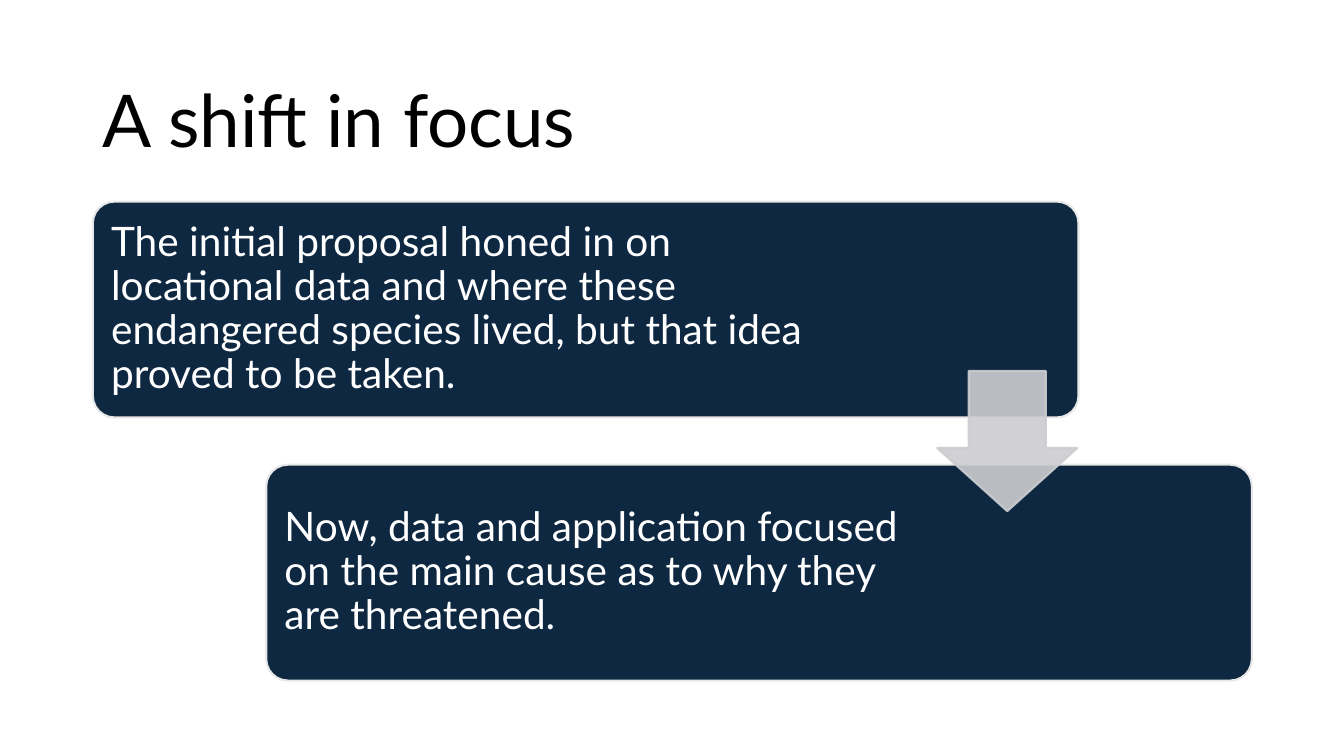
from dataclasses import dataclass

from lxml.etree import SubElement
from pptx import Presentation
from pptx.dml.color import RGBColor
from pptx.enum.shapes import MSO_SHAPE
from pptx.enum.text import MSO_ANCHOR, MSO_AUTO_SIZE, PP_ALIGN
from pptx.oxml.ns import qn
from pptx.shapes.autoshape import Shape
from pptx.slide import Slide
from pptx.text.text import TextFrame
from pptx.util import Cm, Pt

BLACK = RGBColor(0x00, 0x00, 0x00)
WHITE = RGBColor(0xFF, 0xFF, 0xFF)
NAVY = RGBColor(0x0E, 0x28, 0x41)
PALE_GRAY = RGBColor(0xE8, 0xE8, 0xE8)
ARROW_GRAY = RGBColor(0xCC, 0xCD, 0xCF)

FONT_NAME = "Lato"
ARROW_OPACITY = 90
CARD_WIDTH, CARD_HEIGHT = 24.84, 5.44
TEXT_OFFSET = 0.16
TEXT_FRAME_FORMAT = {
    "word_wrap": True,
    "auto_size": MSO_AUTO_SIZE.NONE,
    "vertical_anchor": MSO_ANCHOR.MIDDLE,
}
CARD_MARGINS = {
    f"margin_{side}": Cm(0.3) for side in ("left", "top", "right", "bottom")
}


@dataclass(frozen=True)
class Card:
    """A step of the process; lengths in centimetres."""
    left: float
    top: float
    text_width: float
    text: str


CARDS = (
    Card(2.34, 5.08, 19.2,
         "The initial proposal honed in on locational data and where these "
         "endangered species lived, but that idea proved to be taken."),
    Card(6.71, 11.71, 16.59,
         "Now, data and application focused on the main cause as to why they "
         "are threatened."),
)


def apply_format(target: object, values: dict) -> None:
    for name, value in values.items():
        setattr(target, name, value)


def write_text(frame: TextFrame, text: str, size: float, color: RGBColor) -> None:
    apply_format(frame, TEXT_FRAME_FORMAT)
    paragraph = frame.paragraphs[0]
    apply_format(paragraph, {"alignment": PP_ALIGN.LEFT, "line_spacing": 0.9})
    run = paragraph.add_run()
    run.text = text
    apply_format(run.font, {"name": FONT_NAME, "size": Pt(size)})
    run.font.color.rgb = color


def add_filled_shape(slide: Slide, kind: MSO_SHAPE, box: tuple[float, ...],
                     adjustments: tuple[float, ...], fill: RGBColor,
                     line: RGBColor) -> Shape:
    shape = slide.shapes.add_shape(kind, *(Cm(length) for length in box))
    for index, value in enumerate(adjustments):
        shape.adjustments[index] = value
    shape.shadow.inherit = False
    shape.fill.solid()
    shape.fill.fore_color.rgb = fill
    shape.line.color.rgb = line
    shape.line.width = Pt(1.5)
    return shape


def set_opacity(shape: Shape, percent: int) -> None:
    """Apply one opacity to the fill and the outline."""
    for color in shape._element.spPr.iter(qn("a:srgbClr")):
        SubElement(color, qn("a:alpha")).set("val", str(percent * 1000))


def add_card(slide: Slide, card: Card) -> None:
    add_filled_shape(slide, MSO_SHAPE.ROUNDED_RECTANGLE,
                     (card.left, card.top, CARD_WIDTH, CARD_HEIGHT),
                     (0.1,), NAVY, PALE_GRAY)
    text_box = slide.shapes.add_textbox(
        Cm(card.left + TEXT_OFFSET), Cm(card.top + TEXT_OFFSET),
        Cm(card.text_width), Cm(CARD_HEIGHT - 2 * TEXT_OFFSET))
    apply_format(text_box.text_frame, CARD_MARGINS)
    write_text(text_box.text_frame, card.text, 29, WHITE)


def main() -> None:
    presentation = Presentation()
    apply_format(presentation, {"slide_width": Cm(33.87), "slide_height": Cm(19.05)})
    slide = presentation.slides.add_slide(presentation.slide_layouts[5])

    # Title
    title = slide.shapes.title
    apply_format(title, {"left": Cm(2.34), "top": Cm(1.55),
                         "width": Cm(29.21), "height": Cm(3.15)})
    write_text(title.text_frame, "A shift in focus", 52, BLACK)

    # Steps
    for card in CARDS:
        add_card(slide, card)

    # Arrow from the first step to the second
    arrow = add_filled_shape(slide, MSO_SHAPE.DOWN_ARROW, (23.62, 9.35, 3.53, 3.53),
                             (0.55, 0.45), ARROW_GRAY, ARROW_GRAY)
    set_opacity(arrow, ARROW_OPACITY)

    presentation.save("out.pptx")


if __name__ == "__main__":
    main()
